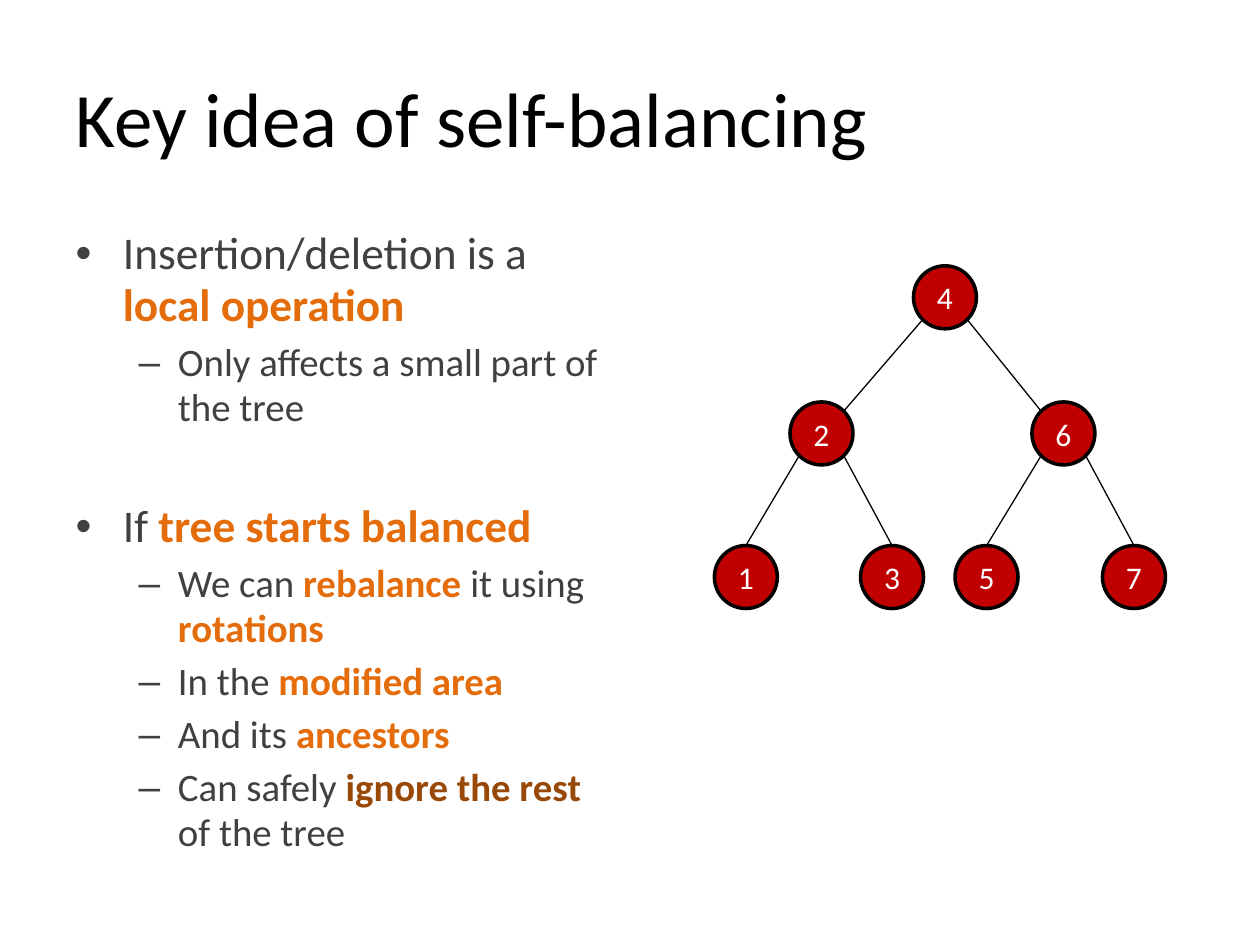
"""Build a slide on the key idea of self-balancing trees."""
from dataclasses import dataclass
from math import sqrt

from lxml import etree
from pptx import Presentation
from pptx import util as u
from pptx.dml.color import RGBColor
from pptx.enum import shapes, text
from pptx.oxml.ns import qn


@dataclass(frozen=True)
class Theme:
    """Hold the colours, type sizes and line widths of the slide."""
    font: str = "Calibri"
    black: str = "000000"
    white: str = "FFFFFF"
    grey: str = "404040"
    orange: str = "E46C0A"
    brown: str = "984807"
    red: str = "C00000"
    title_size: float = 44
    body_sizes: tuple = (25.9, 22.2)
    node_size: float = 18
    outline: float = 2
    edge: float = 0.75


THEME = Theme()
DIAMETER = 0.5
DIAGONAL = DIAMETER / 2 / sqrt(2)

BULLETS = [
    (0, [("Insertion/deletion is a ", "grey"), ("local operation", "orange")]),
    (1, [("Only affects a small part of the tree", "grey")]),
    (0, [("If ", "grey"), ("tree starts balanced", "orange")]),
    (1, [("We can ", "grey"), ("rebalance ", "orange"),
         ("it using ", "grey"), ("rotations", "orange")]),
    (1, [("In the ", "grey"), ("modified area", "orange")]),
    (1, [("And its ", "grey"), ("ancestors", "orange")]),
    (1, [("Can safely ", "grey"), ("ignore the rest ", "brown"),
         ("of the tree", "grey")]),
]
SECTION_GAP = 40

NODE_CENTRES = {
    4: (7.5, 2.36),
    2: (6.52, 3.44), 6: (8.44, 3.44),
    1: (5.92, 4.58), 3: (7.08, 4.58), 5: (7.83, 4.58), 7: (9, 4.58),
}
CHILDREN = {4: (2, 6), 2: (1, 3), 6: (5, 7)}


def apply(target, values):
    """Set each named attribute of the target."""
    for name, value in values.items():
        setattr(target, name, value)


def add_span(para, words, size, colour, bold=False):
    """Add a formatted run to a paragraph."""
    span = para.add_run()
    span.text = words
    apply(span.font, {"name": THEME.font, "size": u.Pt(size), "bold": bold})
    span.font.color.rgb = RGBColor.from_string(colour)


def place(shape, left, top, width, height):
    """Move and size a shape in inches."""
    apply(shape, {"left": u.Inches(left), "top": u.Inches(top),
                  "width": u.Inches(width), "height": u.Inches(height)})


def fill_title(page, words):
    """Write the title."""
    title = page.shapes.title
    place(title, 0.5, 0.3, 9, 1.25)
    para = title.text_frame.paragraphs[0]
    para.alignment = text.PP_ALIGN.LEFT
    add_span(para, words, THEME.title_size, THEME.black)


def fill_body(page, bullets):
    """Write the two-level list."""
    body = page.placeholders[1]
    place(body, 0.5, 1.75, 4.42, 4.95)
    frame = body.text_frame
    apply(frame, {"word_wrap": True, "auto_size": text.MSO_AUTO_SIZE.NONE})
    for index, (level, spans) in enumerate(bullets):
        para = frame.add_paragraph() if index else frame.paragraphs[0]
        apply(para, {"level": level, "line_spacing": 0.97})
        if index and level == 0:
            para.space_before = u.Pt(SECTION_GAP)
        for words, colour in spans:
            add_span(para, words, THEME.body_sizes[level],
                     getattr(THEME, colour), colour != "grey")


def add_node(page, key, centre):
    """Draw a tree node around its centre."""
    x, y = centre
    node = page.shapes.add_shape(
        shapes.MSO_SHAPE.OVAL, u.Inches(x - DIAMETER / 2),
        u.Inches(y - DIAMETER / 2), u.Inches(DIAMETER), u.Inches(DIAMETER))
    node.shadow.inherit = False
    node.fill.solid()
    node.fill.fore_color.rgb = RGBColor.from_string(THEME.red)
    node.line.color.rgb = RGBColor.from_string(THEME.black)
    node.line.width = u.Pt(THEME.outline)
    frame = node.text_frame
    apply(frame, {"margin_left": 0, "margin_right": 0,
                  "vertical_anchor": text.MSO_ANCHOR.MIDDLE})
    para = frame.paragraphs[0]
    para.alignment = text.PP_ALIGN.CENTER
    add_span(para, str(key), THEME.node_size, THEME.white)


def add_edge(page, parent, child):
    """Join a parent's lower corner to its child's rim."""
    x, y = NODE_CENTRES[parent]
    child_x, child_y = NODE_CENTRES[child]
    side = DIAGONAL if child_x > x else -DIAGONAL
    if child in CHILDREN:
        end = child_x - side, child_y - DIAGONAL
    else:
        end = child_x, child_y - DIAMETER / 2
    edge = page.shapes.add_connector(
        shapes.MSO_CONNECTOR.STRAIGHT,
        *(u.Inches(value) for value in (x + side, y + DIAGONAL, *end)))
    edge.line.color.rgb = RGBColor.from_string(THEME.black)
    edge.line.width = u.Pt(THEME.edge)
    etree.SubElement(edge._element.spPr, qn("a:effectLst"))


def main():
    """Build and save the slide."""
    deck = Presentation()
    apply(deck, {"slide_width": u.Inches(10), "slide_height": u.Inches(7.5)})
    page = deck.slides.add_slide(deck.slide_layouts[1])
    fill_title(page, "Key idea of self-balancing")
    fill_body(page, BULLETS)
    for key, centre in NODE_CENTRES.items():
        add_node(page, key, centre)
    for parent, children in CHILDREN.items():
        for child in children:
            add_edge(page, parent, child)
    deck.save("out.pptx")


main()
